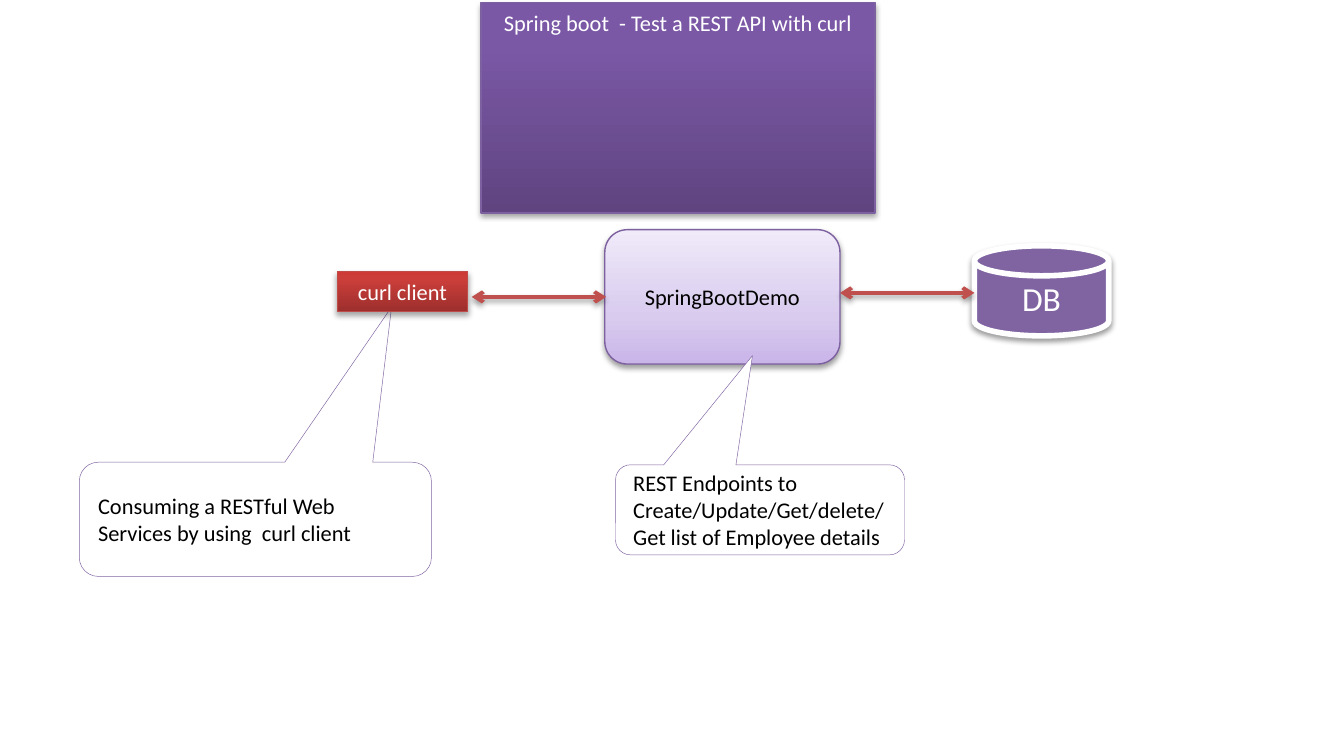
from dataclasses import dataclass
from typing import Optional

import lxml.etree
import pptx
import pptx.dml.color
import pptx.enum.shapes
import pptx.enum.text
import pptx.oxml
import pptx.oxml.ns
import pptx.util

Inches = pptx.util.Inches
Kind = pptx.enum.shapes.MSO_SHAPE
Align = pptx.enum.text.PP_ALIGN
Anchor = pptx.enum.text.MSO_ANCHOR

COLORS = {
    "white": "FFFFFF", "black": "000000", "purple": "8064A2",
    "purple_edge": "7D60A0", "red": "C0504D", "red_edge": "BF4C48",
}
# Gradient stops run from the bottom of a shape to its top.
GRADIENTS = {
    "purple": ((0, "5F4480"), (80, "7B58A6"), (100, "7C57A8")),
    "lilac": ((0, "C9B5E8"), (35, "D8CBEE"), (100, "F0EAF9")),
    "red": ((0, "9C2F2D"), (80, "CB3E3A"), (100, "CE3B37")),
}


@dataclass(frozen=True)
class Shadow:
    opacity: int
    distance: float
    blur: float = 3.1


LABEL_SHADOW = Shadow(35, 1.8)
NODE_SHADOW = Shadow(38, 1.6)


@dataclass(frozen=True)
class Node:
    text: str
    kind: Kind
    at: tuple[float, float, float, float]
    edge: str
    edge_width: float = 0.75
    fill: str = "white"
    gradient: str = ""
    shadow: Optional[Shadow] = None
    color: str = "black"
    size: int = 12
    align: Align = Align.CENTER
    grow: bool = False
    tip: Optional[tuple[float, float]] = None


TITLE = Node("Spring boot  - Test a REST API with curl", Kind.RECTANGLE,
             (3.58, 0.02, 2.93, 0.3), "purple_edge", gradient="purple",
             shadow=LABEL_SHADOW, color="white", grow=True)
SERVICE = Node("SpringBootDemo", Kind.ROUNDED_RECTANGLE, (4.5, 1.71, 1.75, 1),
               "purple_edge", gradient="lilac", shadow=NODE_SHADOW)
DATABASE = Node("DB", Kind.FLOWCHART_MAGNETIC_DISK, (7.25, 1.83, 1, 0.67), "white", 3,
                fill="purple", shadow=NODE_SHADOW, color="white", size=18)
SERVICE_NOTE = Node("REST Endpoints to Create/Update/Get/delete/Get list of Employee details",
                    Kind.ROUNDED_RECTANGULAR_CALLOUT, (4.58, 3.46, 2.15, 0.67),
                    "purple", 0.25, align=Align.LEFT, tip=(-0.026, -1.714))
CLIENT_NOTE = Node("Consuming a RESTful Web Services by using  curl client",
                   Kind.ROUNDED_RECTANGULAR_CALLOUT, (0.59, 3.44, 2.62, 0.85),
                   "purple", 0.25, align=Align.LEFT, tip=(0.387, -1.86))
CLIENT = Node("curl client", Kind.RECTANGLE, (2.51, 2.02, 0.97, 0.3), "red_edge",
              gradient="red", shadow=LABEL_SHADOW, color="white", grow=True)


def rgb(name: str) -> pptx.dml.color.RGBColor:
    return pptx.dml.color.RGBColor.from_string(COLORS[name])


def add_child(parent, tag: str, **attributes):
    child = lxml.etree.SubElement(parent, pptx.oxml.ns.qn(tag))
    for name, value in attributes.items():
        child.set(name, str(value))
    return child


def set_gradient(fill, shape, name: str) -> None:
    fill.gradient()
    fill.gradient_angle = 90
    stops = shape._element.spPr.find(".//" + pptx.oxml.ns.qn("a:gsLst"))
    for stop in list(stops):
        stops.remove(stop)
    for position, color in GRADIENTS[name]:
        stop = add_child(stops, "a:gs", pos=position * 1000)
        add_child(stop, "a:srgbClr", val=color)


def set_shadow(shape, shadow: Optional[Shadow]) -> None:
    """Replace the theme's effects; call after the line is set."""
    effects = add_child(shape._element.spPr, "a:effectLst")
    if shadow:
        outer = add_child(effects, "a:outerShdw", blurRad=pptx.util.Pt(shadow.blur),
                          dist=pptx.util.Pt(shadow.distance), dir=90 * 60000, rotWithShape=0)
        color = add_child(outer, "a:srgbClr", val=COLORS["black"])
        add_child(color, "a:alpha", val=shadow.opacity * 1000)


def write_text(box, text: str, *, color: str, size: int, align: Align, grow: bool) -> None:
    frame = box.text_frame
    frame.word_wrap = not grow
    frame.auto_size = (pptx.enum.text.MSO_AUTO_SIZE.SHAPE_TO_FIT_TEXT if grow
                       else pptx.enum.text.MSO_AUTO_SIZE.NONE)
    frame.vertical_anchor = Anchor.TOP if grow else Anchor.MIDDLE
    para = frame.paragraphs[0]
    para.alignment = align
    span = para.add_run()
    span.text = text
    span.font.name = "Calibri"
    span.font.size = pptx.util.Pt(size)
    span.font.color.rgb = rgb(color)


def format_node(shape, node: Node) -> None:
    shape.left, shape.top, shape.width, shape.height = map(Inches, node.at)
    if node.gradient:
        set_gradient(shape.fill, shape, node.gradient)
    else:
        shape.fill.solid()
        shape.fill.fore_color.rgb = rgb(node.fill)
    shape.line.color.rgb = rgb(node.edge)
    shape.line.width = pptx.util.Pt(node.edge_width)
    set_shadow(shape, node.shadow)
    if node.tip:
        shape.adjustments[0], shape.adjustments[1] = node.tip
    write_text(shape, node.text, color=node.color, size=node.size,
               align=node.align, grow=node.grow)


def add_node(page, node: Node) -> None:
    format_node(page.shapes.add_shape(node.kind, *map(Inches, node.at)), node)


def add_double_arrow(page, left: float, right: float, y: float) -> None:
    arrow = page.shapes.add_connector(pptx.enum.shapes.MSO_CONNECTOR.STRAIGHT,
                                      Inches(left), Inches(y), Inches(right), Inches(y))
    arrow.line.color.rgb = rgb("red")
    arrow.line.width = pptx.util.Pt(2)
    line = arrow.line._get_or_add_ln()
    for end in ("a:headEnd", "a:tailEnd"):
        add_child(line, end, type="arrow")
    set_shadow(arrow, NODE_SHADOW)


def main() -> None:
    deck = pptx.Presentation()
    deck.slide_width, deck.slide_height = Inches(10), Inches(5.5)
    page = deck.slides.add_slide(deck.slide_layouts.get_by_name("Title Only"))

    format_node(page.shapes.title, TITLE)
    add_node(page, SERVICE)
    add_node(page, DATABASE)
    add_double_arrow(page, 3.51, 4.51, 2.21)
    add_double_arrow(page, 6.25, 7.25, 2.18)
    for node in (SERVICE_NOTE, CLIENT_NOTE, CLIENT):
        add_node(page, node)

    deck.save("out.pptx")


if __name__ == "__main__":
    main()
